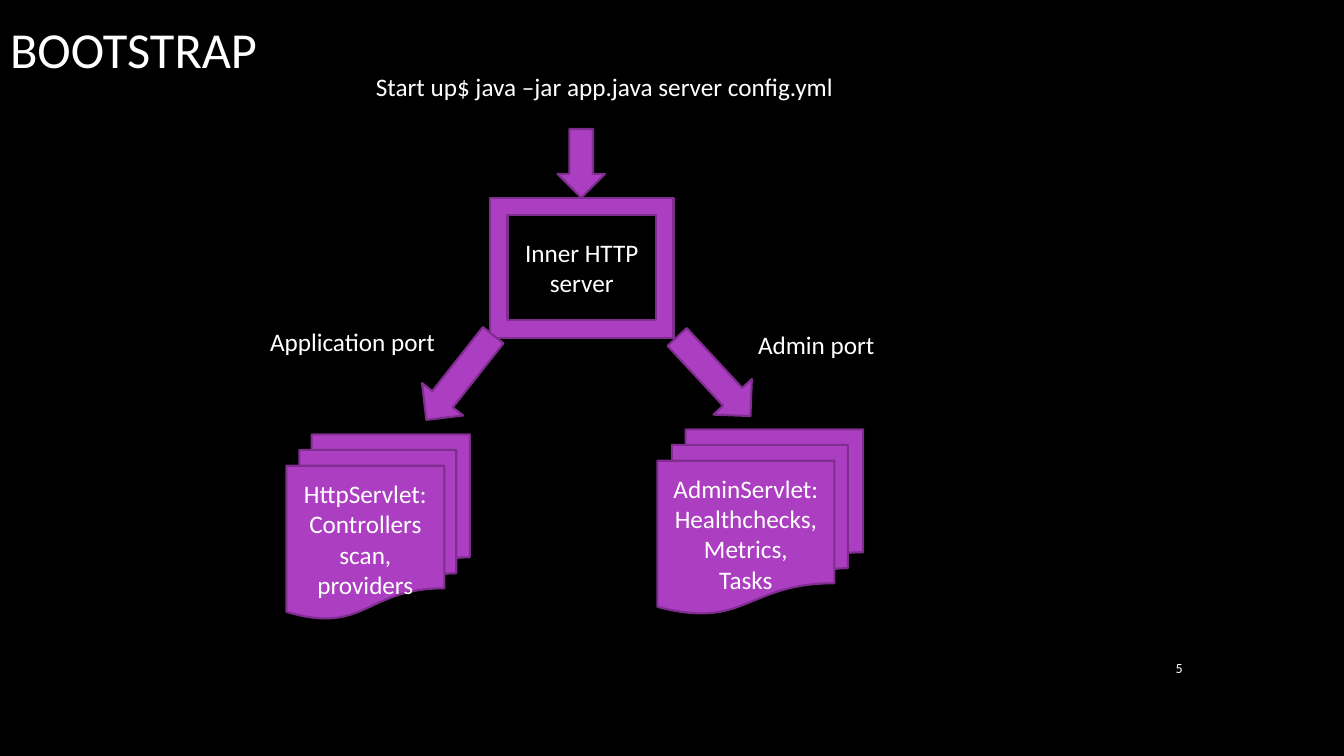
from pptx import Presentation
from pptx.dml.color import RGBColor
from pptx.enum.shapes import MSO_SHAPE
from pptx.enum.text import MSO_ANCHOR, MSO_AUTO_SIZE, PP_ALIGN
from pptx.util import Inches, Pt

ARROW = MSO_SHAPE.DOWN_ARROW
FRAME = MSO_SHAPE.FRAME
DOCS = MSO_SHAPE.FLOWCHART_MULTIDOCUMENT
LEFT, MID, RIGHT = PP_ALIGN.LEFT, PP_ALIGN.CENTER, PP_ALIGN.RIGHT
TOP, CENTER = MSO_ANCHOR.TOP, MSO_ANCHOR.MIDDLE
GROW, FIXED = MSO_AUTO_SIZE.SHAPE_TO_FIT_TEXT, MSO_AUTO_SIZE.NONE

THEME = {
    "back": RGBColor.from_string("000000"),
    "text": RGBColor.from_string("FFFFFF"),
    "fill": RGBColor.from_string("AC3EC1"),
    "line": RGBColor.from_string("7F2E8F"),
    "font": "Calibri",
    "title": Pt(36),
    "body": Pt(18),
    "small": Pt(10),
    "edge": Pt(1.5),
}

TITLE = ("BOOTSTRAP", (0, 0, 11.08, 0.95))
NUMBER = ("5", (11.23, 6.42, 0.6, 0.41))
SHAPES = [
    (ARROW, (5.53, 1.28, 0.47, 0.68), 0, ""),
    (FRAME, (4.86, 1.96, 1.82, 1.39), 0, ""),
    (ARROW, (4.3, 3.21, 0.52, 1.07), 38.3, ""),
    (ARROW, (6.82, 3.2, 0.52, 1.07), 317.2, ""),
    (DOCS, (2.84, 4.31, 1.82, 1.83), 0,
     "HttpServlet:\nControllers scan,\vproviders"),
    (DOCS, (6.52, 4.26, 2.04, 1.83), 0,
     "AdminServlet:\vHealthchecks,\nMetrics,\nTasks"),
]
LABELS = [
    ("Start up$ java –jar app.java server config.yml", (3.63, 0.66, 4.78, 0.4), LEFT),
    ("Inner HTTP \nserver", (5.1, 2.3, 1.34, 0.71), MID),
    ("Application port", (2.58, 3.19, 1.86, 0.4), LEFT),
    ("Admin port", (7.42, 3.22, 1.37, 0.4), LEFT),
]

BLOCK = {"word_wrap": True, "auto_size": FIXED, "vertical_anchor": CENTER}
LABEL = {"word_wrap": False, "auto_size": GROW, "vertical_anchor": TOP}


def apply(item, format):
    for name, value in format.items():
        setattr(item, name, value)


def write(shape, text, size, align, format):
    frame = shape.text_frame
    frame.text = text
    apply(frame, format)
    for para in frame.paragraphs:
        para.alignment = align
        for run in para.runs:
            apply(run.font, {"name": THEME["font"], "size": THEME[size]})
            run.font.color.rgb = THEME["text"]


def place(box):
    return [Inches(n) for n in box]


def draw(slide, kind, box, turn, text):
    shape = slide.shapes.add_shape(kind, *place(box))
    shape.rotation = turn
    shape.shadow.inherit = False
    shape.fill.solid()
    shape.fill.fore_color.rgb = THEME["fill"]
    shape.line.color.rgb = THEME["line"]
    shape.line.width = THEME["edge"]
    if text:
        write(shape, text, "body", MID, BLOCK)


def main():
    deck = Presentation()
    apply(deck, {"slide_width": Inches(13.33), "slide_height": Inches(7.5)})
    slide = deck.slides.add_slide(deck.slide_layouts[5])
    slide.background.fill.solid()
    slide.background.fill.fore_color.rgb = THEME["back"]

    text, box = TITLE
    head = slide.shapes.title
    apply(head, dict(zip(("left", "top", "width", "height"), place(box))))
    write(head, text, "title", LEFT, BLOCK)

    for item in SHAPES:
        draw(slide, *item)
    for text, box, align in LABELS:
        write(slide.shapes.add_textbox(*place(box)), text, "body", align, LABEL)

    text, box = NUMBER
    write(slide.shapes.add_textbox(*place(box)), text, "small", RIGHT, BLOCK)
    deck.save("out.pptx")


if __name__ == "__main__":
    main()
